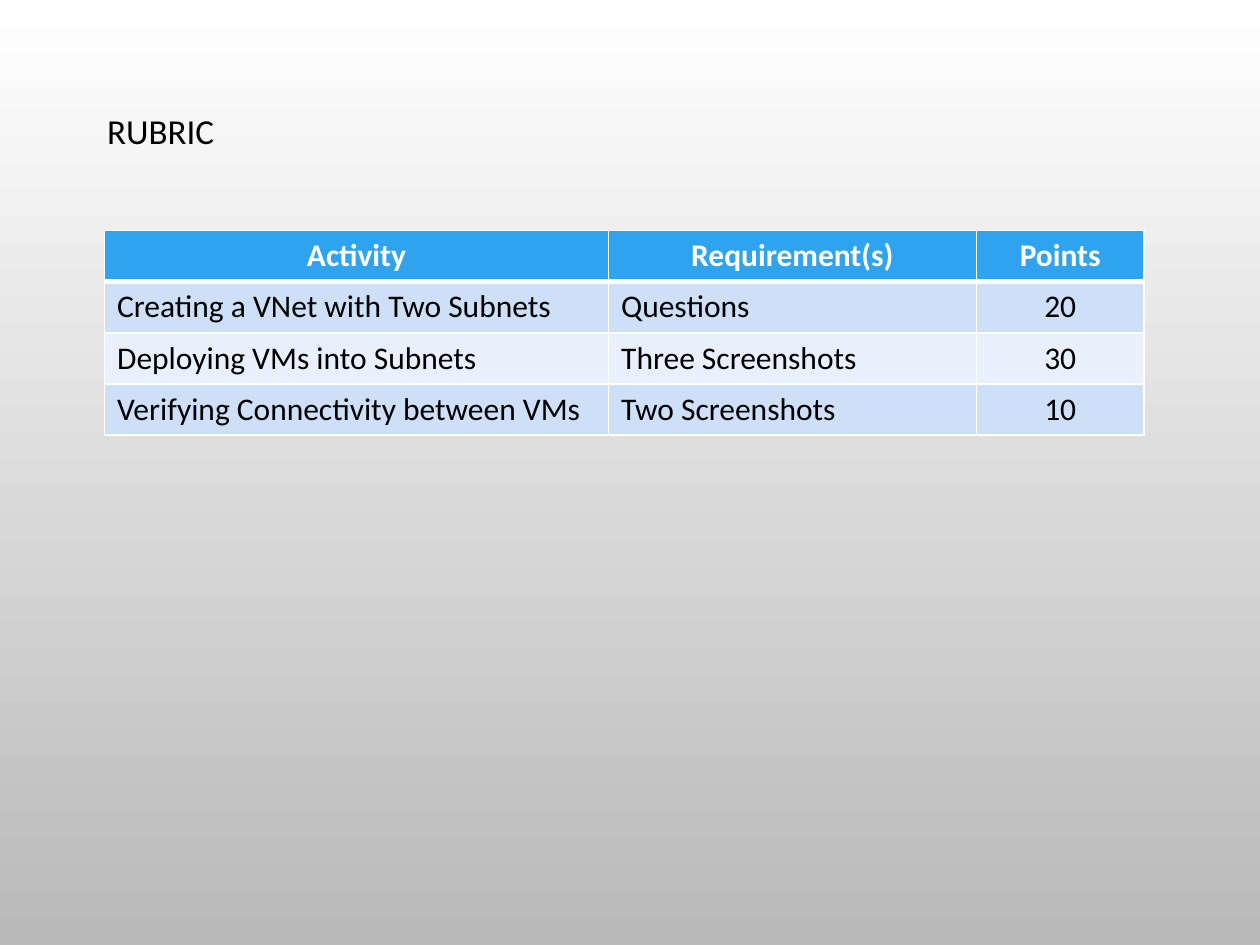
import pptx
import pptx.dml.color
import pptx.enum.text
import pptx.oxml.ns
import pptx.util
from lxml import etree
from pptx.util import Inches

COLORS = {
    "background_top": "FFFFFF",
    "background_bottom": "B9B9B9",
    "text": "000000",
    "header_text": "FFFFFF",
    "header": "2FA3EE",
    "odd_row": "CDE0F8",
    "even_row": "E8F0FC",
    "border": "FFFFFF",
}
FONT = "Calibri"
ALIGN = pptx.enum.text.PP_ALIGN

RUBRIC = [
    ("Activity", "Requirement(s)", "Points"),
    ("Creating a VNet with Two Subnets", "Questions", "20"),
    ("Deploying VMs into Subnets", "Three Screenshots", "30"),
    ("Verifying Connectivity between VMs", "Two Screenshots", "10"),
]
COLUMN_SHARES = (4, 2.92, 1.33)


def rgb(name):
    return pptx.dml.color.RGBColor.from_string(COLORS[name])


def write(frame, text, size, color, align, bold=False):
    paragraph = frame.paragraphs[0]
    paragraph.alignment = align
    run = paragraph.add_run()
    run.text = text
    run.font.name = FONT
    run.font.size = pptx.util.Pt(size)
    run.font.bold = bold
    run.font.color.rgb = rgb(color)
    return paragraph


def paint_background(slide):
    fill = slide.background.fill
    fill.gradient()
    fill.gradient_angle = 270
    for stop, name in zip(fill.gradient_stops, ("background_top", "background_bottom")):
        stop.color.rgb = rgb(name)


def place_heading(slide, left, top, width, height):
    heading = slide.shapes.title
    heading.left, heading.top, heading.width, heading.height = left, top, width, height
    frame = heading.text_frame
    frame.word_wrap = True
    frame.auto_size = pptx.enum.text.MSO_AUTO_SIZE.NONE
    frame.vertical_anchor = pptx.enum.text.MSO_ANCHOR.TOP
    paragraph = write(frame, "RUBRIC", 20, "text", ALIGN.LEFT)
    paragraph.line_spacing = 1.2


def set_borders(cell, top, bottom):
    properties = cell._tc.get_or_add_tcPr()
    qn = pptx.oxml.ns.qn
    for side, points in (("L", 1), ("R", 1), ("T", top), ("B", bottom)):
        line = etree.SubElement(properties, qn("a:ln" + side), w=str(pptx.util.Pt(points)))
        solid = etree.SubElement(line, qn("a:solidFill"))
        etree.SubElement(solid, qn("a:srgbClr"), val=COLORS["border"])


def place_rubric(slide, left, top, width, height):
    frame = slide.shapes.add_table(len(RUBRIC), len(COLUMN_SHARES), left, top, width, height)
    table = frame.table
    for column, share in zip(table.columns, COLUMN_SHARES):
        column.width = round(width * share / sum(COLUMN_SHARES))

    for r, entries in enumerate(RUBRIC):
        is_header = r == 0
        row_fill = "header" if is_header else ("odd_row" if r % 2 else "even_row")
        for c, entry in enumerate(entries):
            cell = table.cell(r, c)
            # The rule below the header is heavier than the other borders
            set_borders(cell, top=3 if r == 1 else 1, bottom=3 if is_header else 1)
            cell.fill.solid()
            cell.fill.fore_color.rgb = rgb(row_fill)
            centred = is_header or c == len(entries) - 1
            write(cell.text_frame, entry, 18, "header_text" if is_header else "text",
                  ALIGN.CENTER if centred else ALIGN.LEFT, bold=is_header)


def build_rubric_slide(deck):
    slide = deck.slides.add_slide(deck.slide_layouts.get_by_name("Title Only"))
    paint_background(slide)
    place_heading(slide, Inches(0.75), Inches(0.75), Inches(9), Inches(0.9))
    place_rubric(slide, Inches(0.83), Inches(1.83), Inches(8.25), Inches(1.62))


deck = pptx.Presentation()
deck.slide_width, deck.slide_height = Inches(10), Inches(7.5)
build_rubric_slide(deck)
deck.save("out.pptx")
